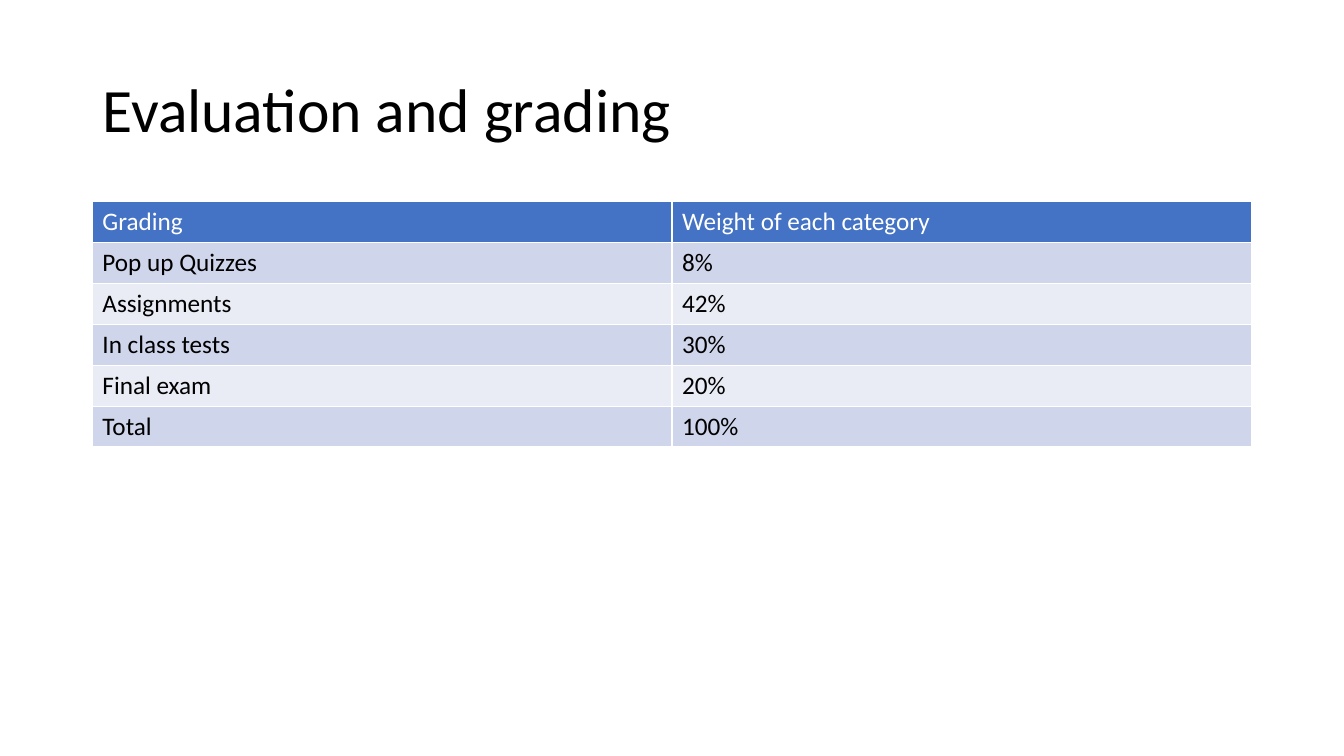
import pptx
import pptx.dml.color
import pptx.enum.text
import pptx.util

RGBColor = pptx.dml.color.RGBColor
BLACK = RGBColor(0x00, 0x00, 0x00)
WHITE = RGBColor(0xFF, 0xFF, 0xFF)
HEADER_BLUE = RGBColor(0x44, 0x72, 0xC4)
BANDS = [RGBColor(0xCF, 0xD5, 0xEA), RGBColor(0xE9, 0xEB, 0xF5)]

TITLE = "Evaluation and grading"
GRADING = [
    ("Grading", "Weight of each category"),
    ("Pop up Quizzes", "8%"),
    ("Assignments", "42%"),
    ("In class tests", "30%"),
    ("Final exam", "20%"),
    ("Total", "100%"),
]

PX = 9525  # EMU per px, 96 px to the inch
SLIDE_W, SLIDE_H = 1280, 720
LEFT, WIDTH = 88, 1104
TITLE_TOP, TITLE_H = 38, 139
TABLE_TOP, ROW_H = 192, 39


def set_text(tf, text, size, color):
    p = tf.paragraphs[0]
    r = p.add_run()
    r.text = text
    style = {"name": "Calibri", "size": pptx.util.Pt(size), "bold": False}
    for key, value in style.items():
        setattr(r.font, key, value)
    r.font.color.rgb = color
    return p


def add_title(slide):
    sp = slide.shapes.title
    box = {"left": LEFT, "top": TITLE_TOP, "width": WIDTH, "height": TITLE_H}
    for key, value in box.items():
        setattr(sp, key, value * PX)
    tf = sp.text_frame
    tf.vertical_anchor = pptx.enum.text.MSO_ANCHOR.MIDDLE
    p = set_text(tf, TITLE, 44, BLACK)
    p.alignment = pptx.enum.text.PP_ALIGN.LEFT
    p.line_spacing = 0.9


def add_grading_table(slide):
    n_rows, n_cols = len(GRADING), len(GRADING[0])
    table = slide.shapes.add_table(
        n_rows, n_cols, LEFT * PX, TABLE_TOP * PX,
        WIDTH * PX, n_rows * ROW_H * PX).table
    for i, row in enumerate(GRADING):
        fill = BANDS[(i - 1) % 2] if i else HEADER_BLUE
        color = BLACK if i else WHITE
        for j, text in enumerate(row):
            cell = table.cell(i, j)
            cell.fill.solid()
            cell.fill.fore_color.rgb = fill
            set_text(cell.text_frame, text, 18, color)


def main():
    prs = pptx.Presentation()
    prs.slide_width, prs.slide_height = SLIDE_W * PX, SLIDE_H * PX
    slide = prs.slides.add_slide(prs.slide_layouts.get_by_name("Title Only"))
    add_title(slide)
    add_grading_table(slide)
    prs.save("out.pptx")


if __name__ == "__main__":
    main()
